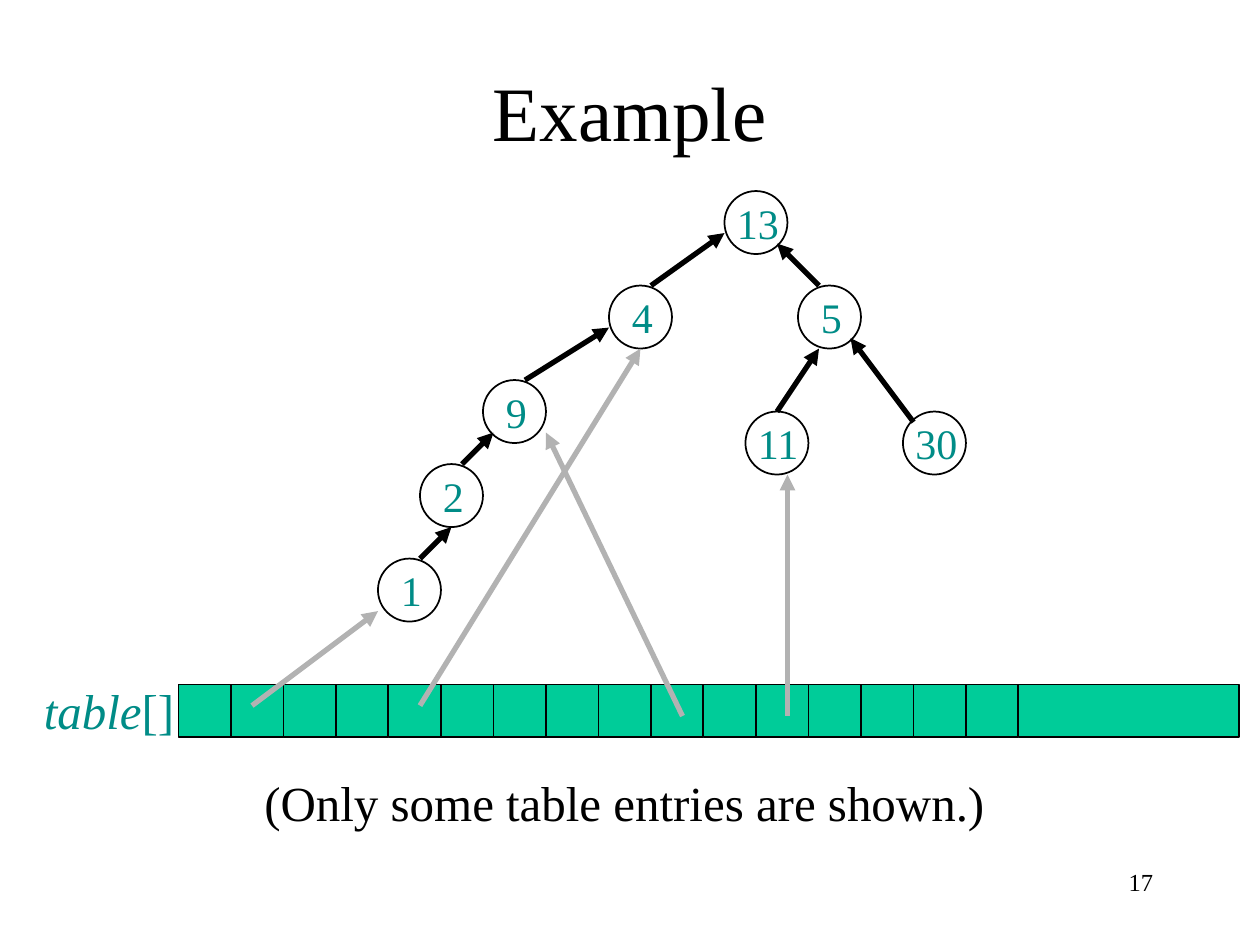
from pptx import Presentation
from pptx.dml.color import RGBColor
from pptx.enum.shapes import MSO_CONNECTOR, MSO_SHAPE
from pptx.enum.text import MSO_ANCHOR, PP_ALIGN
from pptx.oxml.ns import qn
from pptx.util import Pt
from lxml import etree

LINE, OVAL, RECT = MSO_CONNECTOR.STRAIGHT, MSO_SHAPE.OVAL, MSO_SHAPE.RECTANGLE
LEFT, MID, RIGHT = PP_ALIGN.LEFT, PP_ALIGN.CENTER, PP_ALIGN.RIGHT
TOP, HALF = MSO_ANCHOR.TOP, MSO_ANCHOR.MIDDLE
BLACK, TEAL, GREEN, GRAY = "000000", "008C87", "00CC99", "B2B2B2"
FONT = "Times New Roman"
BASE = 1.2
NODE = 36
CELL, ROW_X, ROW_Y, CELLS, LAST = 30, 102, 390, 16, 126

NODES = [
    ("13", 414, 108), ("4", 348, 162), ("5", 456, 162),
    ("9", 276, 216), ("11", 426, 234), ("30", 516, 234),
    ("2", 240, 264), ("1", 216, 318),
]
EDGES = [
    (372, 162, 414, 132), (300, 216, 348, 186), (468, 162, 444, 138),
    (264, 264, 282, 246), (444, 234, 468, 198), (522, 240, 486, 192),
    (240, 318, 258, 300),
]
LINKS = [
    (144, 402, 216, 348), (390, 408, 312, 246),
    (450, 408, 450, 270), (240, 402, 366, 198),
]

deck = Presentation()
deck.slide_width, deck.slide_height = Pt(720), Pt(540)
slide = deck.slides.add_slide(deck.slide_layouts[6])
shapes = slide.shapes


def color(code):
    return RGBColor.from_string(code)


def text(runs, x, y, w, h, size=24, ink=BLACK, align=LEFT, anchor=TOP):
    frame = shapes.add_textbox(Pt(x), Pt(y), Pt(w), Pt(h)).text_frame
    frame.word_wrap = True
    frame.vertical_anchor = anchor
    para = frame.paragraphs[0]
    para.alignment = align
    for words, slant in runs:
        run = para.add_run()
        run.text = words
        run.font.name, run.font.size = FONT, Pt(size)
        run.font.italic = slant
        run.font.color.rgb = color(ink)


def shape(kind, x, y, w, h, fill=None):
    item = shapes.add_shape(kind, Pt(x), Pt(y), Pt(w), Pt(h))
    item.shadow.inherit = False
    if fill:
        item.fill.solid()
        item.fill.fore_color.rgb = color(fill)
    else:
        item.fill.background()
    item.line.color.rgb = color(BLACK)
    item.line.width = Pt(1)


def arrow(x1, y1, x2, y2, ink):
    item = shapes.add_connector(LINE, Pt(x1), Pt(y1 + BASE), Pt(x2), Pt(y2 + BASE))
    item.line.color.rgb = color(ink)
    item.line.width = Pt(3)
    etree.SubElement(item.line._get_or_add_ln(), qn("a:tailEnd"), type="triangle")
    etree.SubElement(item._element.spPr, qn("a:effectLst"))


text([("Example", False)], 54, 18, 612, 90, size=44, align=MID, anchor=HALF)

for label, x, y in NODES:
    shape(OVAL, x, y + BASE, NODE, NODE)
    inset, wide = (6, 24) if len(label) == 1 else (0, 48)
    text([(label, False)], x + inset, y + BASE, wide, NODE, ink=TEAL)
for edge in EDGES:
    arrow(*edge, BLACK)

for i in range(CELLS + 1):
    wide = CELL if i < CELLS else LAST
    shape(RECT, ROW_X + i * CELL, ROW_Y + BASE, wide, CELL, fill=GREEN)
text([("table", True), ("[]", False)], 18, 385.2, 90, 41, size=28, ink=TEAL)
for link in LINKS:
    arrow(*link, GRAY)

text([("(Only some table entries are shown.)", False)], 144, 438, 504, 41, size=28)
text([("17", False)], 516, 492, 150, 36, size=14, align=RIGHT)

deck.save("out.pptx")
